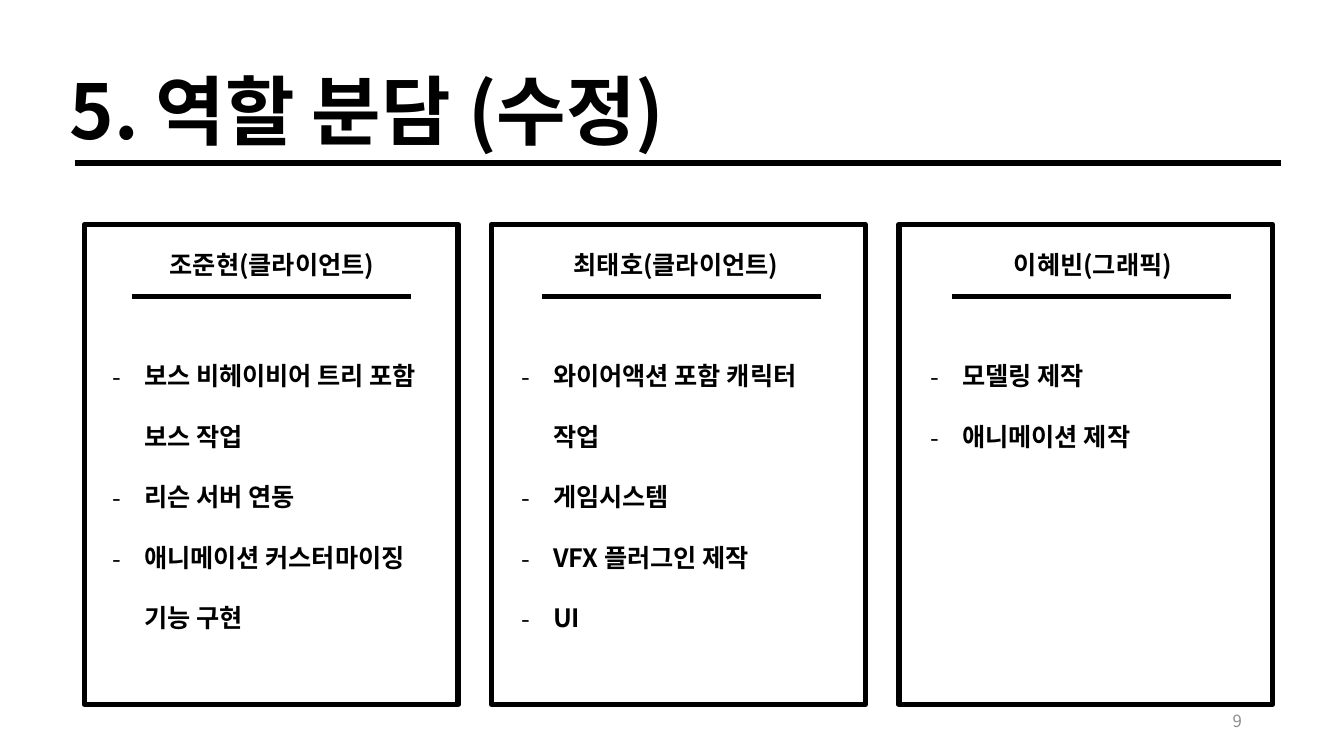
from lxml import etree
from pptx import Presentation
from pptx import util as u
from pptx.dml.color import RGBColor
from pptx.enum import shapes, text
from pptx.oxml import ns

COLORS = {"ink": "000000", "muted": "8C8C8C"}
FONT = "Noto Sans CJK KR"
ALIGN = text.PP_ALIGN

ROLES = [
    ("조준현(클라이언트)", 3.59, 9.25,
     ["보스 비헤이비어 트리 포함 보스 작업", "리슨 서버 연동", "애니메이션 커스터마이징 기능 구현"]),
    ("최태호(클라이언트)", 13.77, 13.87,
     ["와이어액션 포함 캐릭터 작업", "게임시스템", "VFX 플러그인 제작", "UI"]),
    ("이혜빈(그래픽)", 24.28, 3.1, ["모델링 제작", "애니메이션 제작"]),
]


class SlideBuilder:
    def __init__(self, slide):
        self.slide = slide

    def color(self, name):
        return RGBColor.from_string(COLORS[name])

    def box(self, left, top, width, height, weight=4):
        shape = self.slide.shapes.add_shape(
            shapes.MSO_SHAPE.RECTANGLE, u.Cm(left), u.Cm(top), u.Cm(width), u.Cm(height))
        shape.shadow.inherit = False
        shape.fill.background()
        shape.line.color.rgb = self.color("ink")
        shape.line.width = u.Pt(weight)

    def rule(self, left, top, width, weight):
        line = self.slide.shapes.add_connector(
            shapes.MSO_CONNECTOR.STRAIGHT, u.Cm(left), u.Cm(top), u.Cm(left + width), u.Cm(top))
        line.line.color.rgb = self.color("ink")
        line.line.width = u.Pt(weight)
        etree.SubElement(line._element.spPr, ns.qn("a:effectLst"))

    def label(self, left, top, width, height, lines, size=18, bold=True, color="ink",
              align=ALIGN.LEFT, spacing=1.0, anchor=text.MSO_ANCHOR.TOP, bullet=None):
        shape = self.slide.shapes.add_textbox(u.Cm(left), u.Cm(top), u.Cm(width), u.Cm(height))
        frame = shape.text_frame
        frame.word_wrap = True
        frame.vertical_anchor = anchor
        frame.text = "\n".join(lines)
        for paragraph in frame.paragraphs:
            paragraph.alignment = align
            paragraph.line_spacing = spacing
            if bullet:
                self.bullet(paragraph, bullet)
            font = paragraph.font
            font.size = u.Pt(size)
            font.bold = bold
            font.name = FONT
            font.color.rgb = self.color(color)
            east_asian = etree.SubElement(font._element, ns.qn("a:ea"))
            east_asian.set("typeface", FONT)

    def bullet(self, paragraph, character):
        properties = paragraph._p.get_or_add_pPr()
        properties.set("marL", str(u.Cm(0.79)))
        properties.set("indent", str(u.Cm(-0.79)))
        etree.SubElement(properties, ns.qn("a:buFont")).set("typeface", FONT)
        etree.SubElement(properties, ns.qn("a:buChar")).set("char", character)


def main():
    presentation = Presentation()
    presentation.slide_width = u.Cm(33.87)
    presentation.slide_height = u.Cm(19.05)
    builder = SlideBuilder(presentation.slides.add_slide(presentation.slide_layouts[6]))

    builder.label(1.5, 0.79, 18.8, 2.92, ["5. 역할 분담 (수정)"], size=54, spacing=1.3)
    builder.rule(1.88, 4.11, 30.4, weight=4)
    for column, (member, member_left, tasks_height, tasks) in enumerate(ROLES):
        builder.box(2.13 + column * 10.26, 5.66, 9.42, 12.09)
        builder.rule(3.33 + column * 10.33, 7.47, 7.02, weight=3)
        builder.label(member_left, 6.15, 6.53, 1.02, [member], align=ALIGN.CENTER)
        builder.label(2.59 + column * 10.31, 8.2, 8.48, tasks_height, tasks,
                      spacing=2.0, bullet="-")
    builder.label(23.93, 17.65, 7.62, 1.02, ["9"], size=12, bold=False, color="muted",
                  align=ALIGN.RIGHT, anchor=text.MSO_ANCHOR.MIDDLE)

    presentation.save("out.pptx")


if __name__ == "__main__":
    main()
